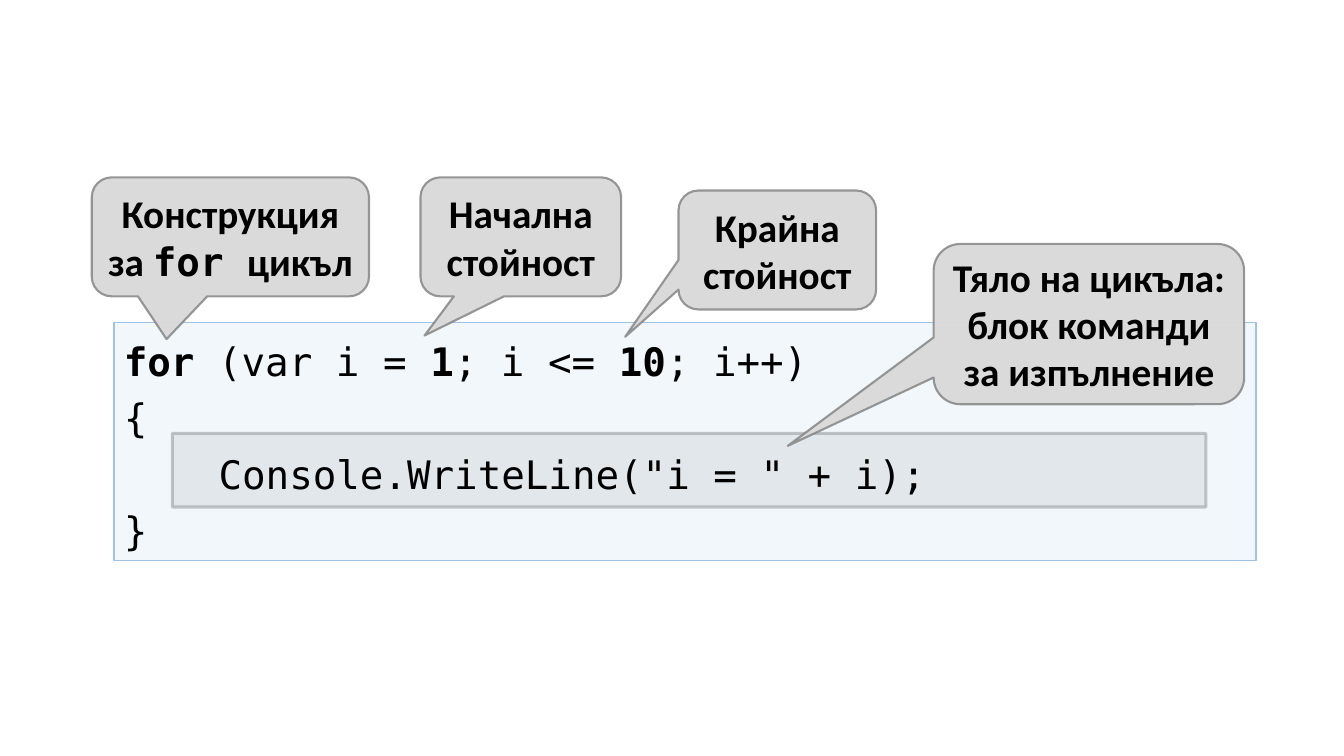
import dataclasses
import typing

import pptx
import pptx.dml.color
import pptx.enum.shapes
import pptx.enum.text
import pptx.oxml
import pptx.oxml.ns
import pptx.util

Inches = pptx.util.Inches
Preset = pptx.enum.shapes.MSO_SHAPE
Align = pptx.enum.text.PP_ALIGN
Anchor = pptx.enum.text.MSO_ANCHOR

COLORS = {"gray": "D9D9D9", "edge": "808080", "blue": "BDD7EE",
          "blue_edge": "9DC3E6", "text": "000000"}
TEXT_FONT = "Calibri"
CODE_FONT = "DejaVu Sans Mono"
TEXT_SIZE = 28
CODE_INDENT = 0.94  # four code characters


class Span(typing.NamedTuple):
    text: str
    font: str = CODE_FONT
    bold: bool = False


class Style(typing.NamedTuple):
    fill: str
    fill_alpha: int
    line: str
    line_alpha: int
    line_width: float


@dataclasses.dataclass
class Callout:
    left: float
    top: float
    width: float
    height: float
    pointer: tuple[float, float]
    spans: list[Span]


BODY_STYLE = Style("gray", 50, "edge", 50, 2.25)
CODE_STYLE = Style("blue", 20, "blue_edge", 100, 1)
CALLOUT_STYLE = Style("gray", 95, "edge", 80, 1.5)


def label(text: str) -> Span:
    return Span(text, TEXT_FONT, True)


CODE_LINES = [
    [Span("for", bold=True), Span(" (var i = "), Span("1", bold=True),
     Span("; i <= "), Span("10", bold=True), Span("; i++)")],
    [Span("{")],
    [Span('Console.WriteLine("i = " + i);')],
    [Span("}")],
]
BODY_LINE = 2

CALLOUTS = [
    Callout(0.91, 1.76, 2.75, 1.18, (-0.23, 0.86),
            [label("Конструкция за "), Span("for ", bold=True), label("цикъл")]),
    Callout(4.17, 1.76, 1.99, 1.18, (-0.48, 0.83), [label("Начална стойност")]),
    Callout(6.73, 1.89, 1.96, 1.18, (-0.77, 0.73), [label("Крайна стойност")]),
    Callout(9.26, 2.42, 3.08, 1.59, (-0.97, 0.76),
            [label("Тяло на цикъла: блок команди за изпълнение")]),
]


def paint(fill, color: str, alpha: int) -> None:
    fill.solid()
    fill.fore_color.rgb = pptx.dml.color.RGBColor.from_string(COLORS[color])
    if alpha < 100:
        for node in fill._xPr.iter(pptx.oxml.ns.qn("a:srgbClr")):
            # The shape's fill comes before its line
            opacity = pptx.oxml.parse_xml(
                f'<a:alpha {pptx.oxml.ns.nsdecls("a")} val="{alpha * 1000}"/>')
            node.append(opacity)
            break


def add_box(page, preset, left: float, top: float, width: float,
            height: float, style: Style):
    box = page.shapes.add_shape(preset, Inches(left), Inches(top),
                                Inches(width), Inches(height))
    box.shadow.inherit = False
    paint(box.fill, style.fill, style.fill_alpha)
    paint(box.line.fill, style.line, style.line_alpha)
    box.line.width = pptx.util.Pt(style.line_width)
    box.text_frame.word_wrap = True
    return box


def write_spans(para, spans: list[Span], formats: dict) -> None:
    for name, value in formats.items():
        setattr(para, name, value)
    for span in spans:
        run = para.add_run()
        run.text = span.text
        font_values = {"name": span.font, "bold": span.bold,
                       "size": pptx.util.Pt(TEXT_SIZE)}
        for name, value in font_values.items():
            setattr(run.font, name, value)
        run.font.color.rgb = pptx.dml.color.RGBColor.from_string(COLORS["text"])


def add_code(page) -> None:
    box = add_box(page, Preset.RECTANGLE, 1.13, 3.2, 11.33, 2.36, CODE_STYLE)
    frame = box.text_frame
    frame.vertical_anchor = Anchor.TOP
    for index, spans in enumerate(CODE_LINES):
        para = frame.add_paragraph() if index else frame.paragraphs[0]
        write_spans(para, spans, {"alignment": Align.LEFT, "line_spacing": 1.2})
        if index == BODY_LINE:
            para._p.get_or_add_pPr().set("marL", str(Inches(CODE_INDENT)))


def add_callout(page, callout: Callout) -> None:
    box = add_box(page, Preset.ROUNDED_RECTANGULAR_CALLOUT, callout.left,
                  callout.top, callout.width, callout.height, CALLOUT_STYLE)
    for index, value in enumerate(callout.pointer):
        box.adjustments[index] = value
    box.text_frame.vertical_anchor = Anchor.MIDDLE
    write_spans(box.text_frame.paragraphs[0], callout.spans,
                {"alignment": Align.CENTER})


deck = pptx.Presentation()
deck.slide_width, deck.slide_height = Inches(13.33), Inches(7.5)
page = deck.slides.add_slide(deck.slide_layouts[6])

# Loop body highlight behind the code
add_box(page, Preset.RECTANGLE, 1.71, 4.3, 10.25, 0.73, BODY_STYLE)

# Code listing
add_code(page)

# Explanations
for callout in CALLOUTS:
    add_callout(page, callout)

deck.save("out.pptx")
